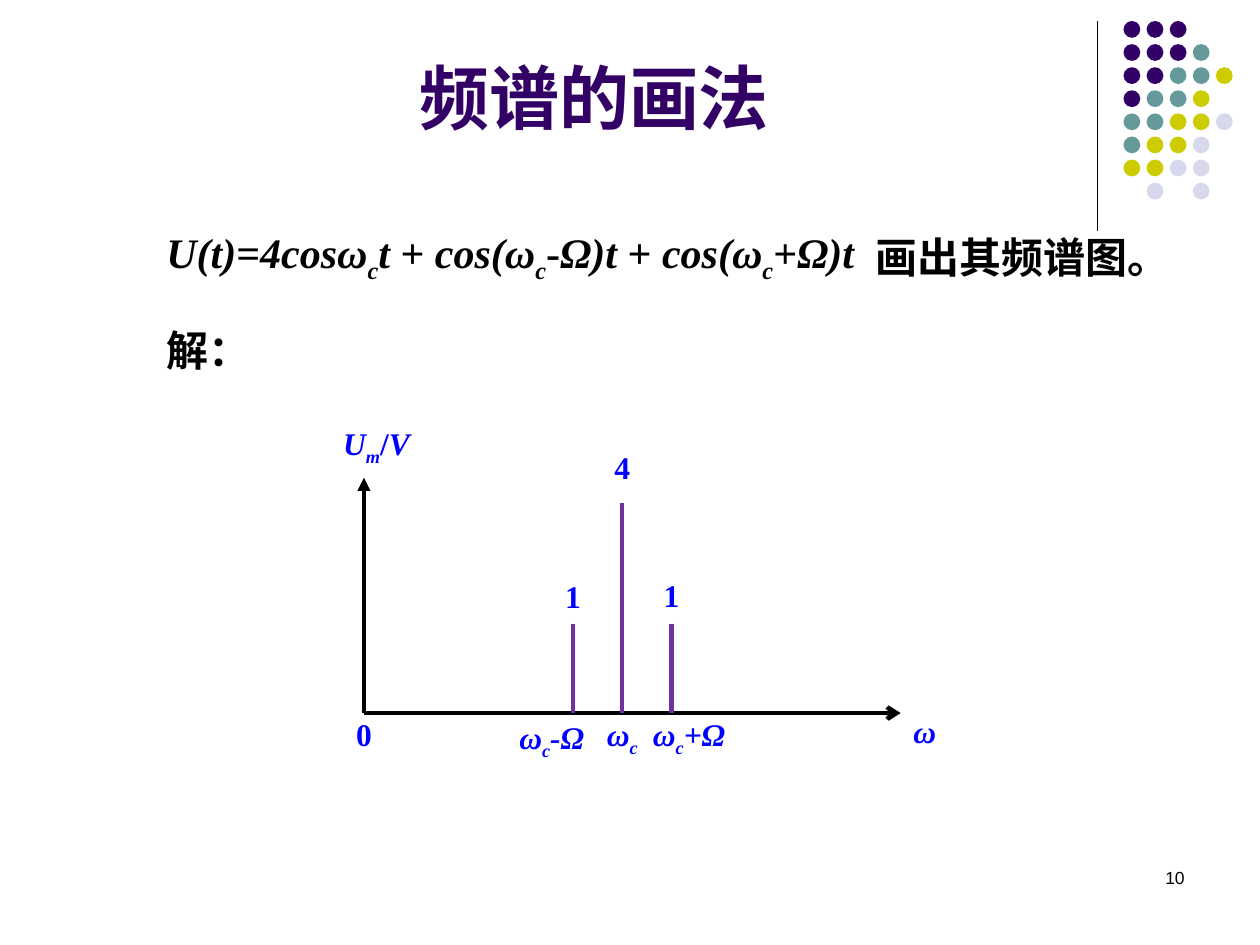
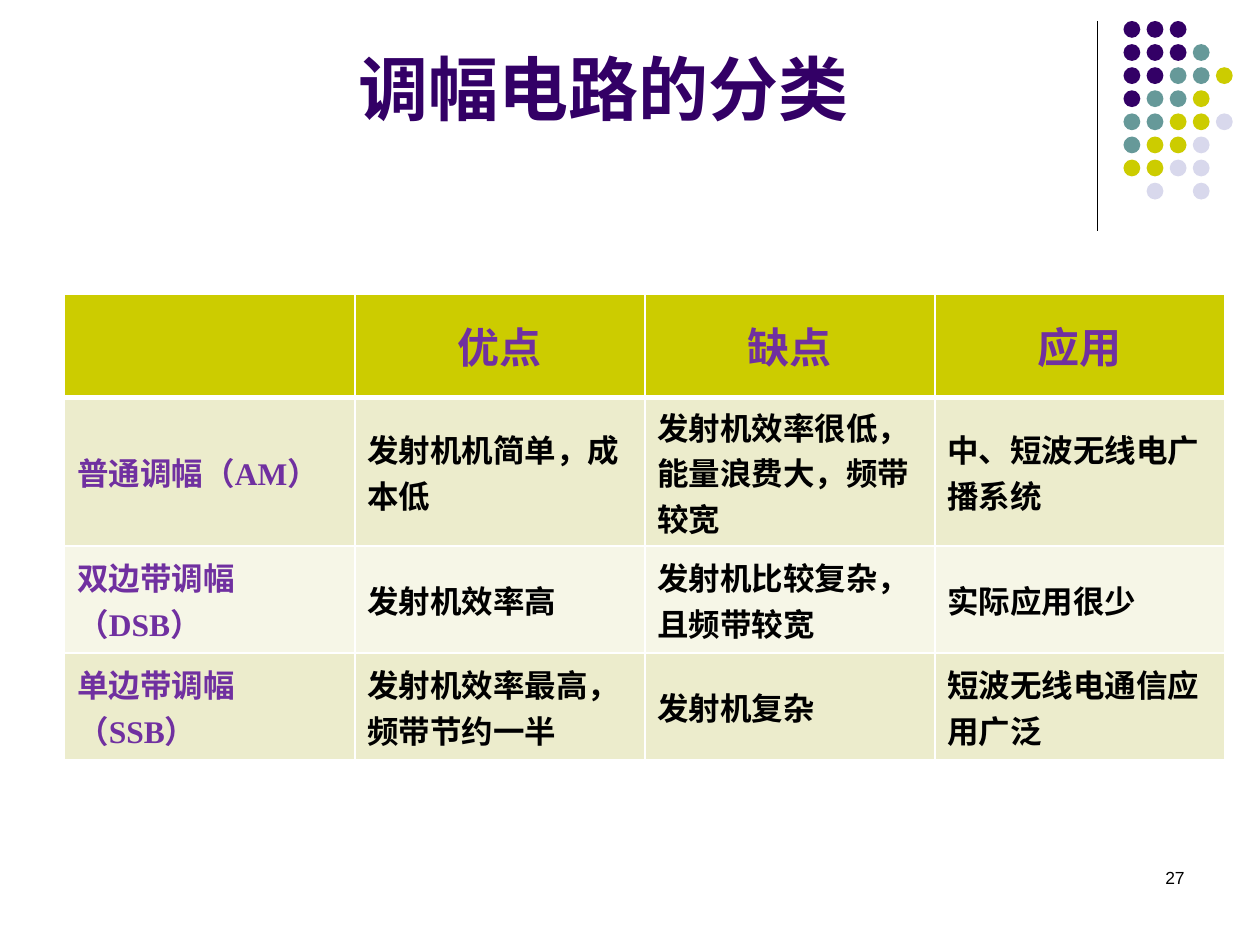
from collections import namedtuple

from lxml.etree import SubElement
from pptx import Presentation
from pptx.dml.color import RGBColor
from pptx.enum.shapes import MSO_CONNECTOR, MSO_SHAPE
from pptx.enum.text import MSO_ANCHOR, MSO_AUTO_SIZE, PP_ALIGN
from pptx.oxml.ns import qn
from pptx.util import Pt

Box = namedtuple("Box", "left top width height")

# Colours and fonts
BLACK = RGBColor(0x00, 0x00, 0x00)
WHITE = RGBColor(0xFF, 0xFF, 0xFF)
INDIGO = RGBColor(0x33, 0x00, 0x66)
TEAL = RGBColor(0x66, 0x99, 0x99)
LIME = RGBColor(0xCC, 0xCC, 0x00)
LAVENDER = RGBColor(0xD8, 0xD8, 0xEC)
PURPLE = RGBColor(0x70, 0x30, 0xA0)
BLUE = RGBColor(0x00, 0x00, 0xFF)
ROW_FILLS = [RGBColor(0xEC, 0xEC, 0xCC), RGBColor(0xF6, 0xF6, 0xE7)]
SERIF, SANS, CHINESE = "Times New Roman", "Arial", "Noto Sans CJK SC"

# Dot ornament, one letter per dot colour
DOT_ROWS = ["III", "IIIT", "IITTY", "ITTY", "TTYYL", "TYYL", "YYLL", " L L"]
DOT_COLORS = {"I": INDIGO, "T": TEAL, "Y": LIME, "L": LAVENDER}

# Styled spans: "i" is italic, "s" is subscript
OMEGA_C = [("ω", "i"), ("c", "is")]
FORMULA = [
    ("U(t)", "i"), ("=", ""), ("4cos", "i"), *OMEGA_C, ("t ", "i"),
    ("+ ", ""), ("cos(", "i"), *OMEGA_C, ("-", ""), ("Ω)t ", "i"),
    ("+ ", ""), ("cos(", "i"), *OMEGA_C, ("+", ""), ("Ω)t", "i"),
]

TABLE_HEADER = ["", "优点", "缺点", "应用"]
TABLE_ROWS = [
    ["普通调幅（AM）", "发射机机简单，成本低",
     "发射机效率很低，能量浪费大，频带较宽", "中、短波无线电广播系统"],
    ["双边带调幅（DSB）", "发射机效率高", "发射机比较复杂，且频带较宽", "实际应用很少"],
    ["单边带调幅（SSB）", "发射机效率最高，频带节约一半", "发射机复杂", "短波无线电通信应用广泛"],
]


def write_text(frame, text, size=18, color=BLACK, font=SERIF, bold=True,
               align=PP_ALIGN.LEFT):
    """Write a string or a list of (text, style) spans as one paragraph."""
    para = frame.paragraphs[0]
    para.alignment = align
    spans = [(text, "")] if isinstance(text, str) else text
    for words, style in spans:
        span = para.add_run()
        span.text = words
        span.font.size = Pt(size)
        span.font.bold = bold
        span.font.italic = "i" in style
        span.font.color.rgb = color
        span.font.name = font
        properties = span.font._element
        SubElement(properties, qn("a:ea"), typeface=CHINESE)
        if "s" in style:
            properties.set("baseline", "-25000")


def place(shape, box):
    shape.left, shape.top, shape.width, shape.height = (Pt(side) for side in box)


def add_text(shapes, box, text, **style):
    frame = shapes.add_textbox(*(Pt(side) for side in box)).text_frame
    frame.word_wrap = True
    write_text(frame, text, **style)


def add_line(shapes, start, end, color=BLACK, width=2.5, head=None):
    line = shapes.add_connector(MSO_CONNECTOR.STRAIGHT,
                                *(Pt(value) for value in (*start, *end)))
    line.line.color.rgb = color
    line.line.width = Pt(width)
    properties = line.element.spPr
    if head:
        SubElement(properties.find(qn("a:ln")), qn("a:tailEnd"), type=head)
    SubElement(properties, qn("a:effectLst"))


def add_ornament(page, box):
    """Vertical rule with the dot grid to its right."""
    add_line(page.shapes, (box.left, box.top),
             (box.left, box.top + box.height), width=0.75)
    dots = page.shapes.add_group_shape().shapes
    pitch, size = 13.2, 9.6
    for row, letters in enumerate(DOT_ROWS):
        for column, letter in enumerate(letters):
            if letter == " ":
                continue
            dot = dots.add_shape(
                MSO_SHAPE.OVAL, Pt(box.left + 15 + column * pitch),
                Pt(box.top + row * pitch), Pt(size), Pt(size))
            dot.shadow.inherit = False
            dot.fill.solid()
            dot.fill.fore_color.rgb = DOT_COLORS[letter]
            dot.line.fill.background()


def add_page(deck, title, title_box, number, title_font):
    """Page with the shared ornament, title style and page number."""
    page = deck.slides.add_slide(deck.slide_layouts[5])
    add_ornament(page, Box(627, 12, 78, 120))
    heading = page.shapes.title
    place(heading, title_box)
    frame = heading.text_frame
    frame.auto_size = MSO_AUTO_SIZE.NONE
    frame.vertical_anchor = MSO_ANCHOR.BOTTOM
    write_text(frame, title, size=40, color=INDIGO, font=title_font,
               align=PP_ALIGN.CENTER)
    add_text(page.shapes, Box(516, 492, 168, 36), number, size=10, font=SANS,
             bold=False, align=PP_ALIGN.RIGHT)
    return page


def add_problem(page, box):
    """Formula, task and the start of the solution."""
    for left, top, width, text in [
        (0, 0, 521, FORMULA),
        (405, 3, 164, "画出其频谱图。"),
        (0, 56, 164, "解："),
    ]:
        add_text(page.shapes, Box(box.left + left, box.top + top, width, 36),
                 text, size=24)


def add_spectrum(page, box):
    """Axes, spectral lines and labels; the origin is the lower left corner."""
    parts = page.shapes.add_group_shape().shapes
    origin_x, origin_y = box.left, box.top + box.height
    origin = (origin_x, origin_y)
    add_line(parts, origin, (origin_x + box.width, origin_y), head="arrow")
    add_line(parts, origin, (origin_x, box.top), head="triangle")

    # Spectral lines: carrier in the middle, one sideband on each side
    carrier, spacing = 147.6, 28.1
    lower, upper = carrier - spacing, carrier + spacing
    for offset, height in [(carrier, 120.2), (upper, 51.1), (lower, 51.1)]:
        x = origin_x + offset
        add_line(parts, (x, origin_y - height), (x, origin_y), color=PURPLE)

    # Labels: centre and top measured from the origin
    label_width = 76.3
    for centre, top, text in [
        (7.2, -168.5, [("U", "i"), ("m", "is"), ("/", ""), ("V", "i")]),
        (0, -2.2, "0"),
        (107.3, -0.7, OMEGA_C + [("-Ω", "i")]),
        (185.8, -2.2, OMEGA_C + [("+Ω", "i")]),
        (carrier, -2.2, OMEGA_C),
        (320.4, -4.3, [("ω", "i")]),
        (carrier, -154.8, "4"),
        (upper, -82.1, "1"),
        (lower, -81.4, "1"),
    ]:
        add_text(parts, Box(origin_x + centre - label_width / 2,
                            origin_y + top, label_width, 29),
                 text, color=BLUE, align=PP_ALIGN.CENTER)


def style_cell(cell, fill, top=1, bottom=1):
    """White borders of the given widths, then the fill."""
    properties = cell._tc.get_or_add_tcPr()
    for side, width in [("L", 1), ("R", 1), ("T", top), ("B", bottom)]:
        border = SubElement(properties, qn(f"a:ln{side}"), w=str(Pt(width)))
        color = SubElement(border, qn("a:solidFill"))
        SubElement(color, qn("a:srgbClr"), val=str(WHITE))
    cell.fill.solid()
    cell.fill.fore_color.rgb = fill
    cell.vertical_anchor = MSO_ANCHOR.MIDDLE


def add_comparison(page, box):
    """Table of the modulation types."""
    rows = [TABLE_HEADER, *TABLE_ROWS]
    table = page.shapes.add_table(len(rows), len(TABLE_HEADER),
                                  *(Pt(side) for side in box)).table
    for column in table.columns:
        column.width = Pt(box.width / len(TABLE_HEADER))
    for row, height in zip(table.rows, [59, 85, 61.2, 61.2]):
        row.height = Pt(height)
    for row, texts in enumerate(rows):
        for column, text in enumerate(texts):
            cell = table.cell(row, column)
            if row == 0:
                style_cell(cell, LIME, bottom=3)
                if text:
                    write_text(cell.text_frame, text, size=24, color=PURPLE,
                               font=CHINESE, align=PP_ALIGN.CENTER)
            else:
                style_cell(cell, ROW_FILLS[(row - 1) % 2],
                           top=3 if row == 1 else 1)
                write_text(cell.text_frame, text,
                           color=BLACK if column else PURPLE)


def main():
    deck = Presentation()
    deck.slide_width, deck.slide_height = Pt(720), Pt(540)

    page = add_page(deck, "频谱的画法", Box(42.5, -19.5, 594, 102), "10", CHINESE)
    add_problem(page, Box(88, 126, 569, 92))
    add_spectrum(page, Box(208, 273, 306.7, 134.5))

    page = add_page(deck, "调幅电路的分类", Box(48, -24.5, 594, 102), "27", SERIF)
    add_comparison(page, Box(37, 168, 663, 266.4))

    deck.save("out.pptx")


if __name__ == "__main__":
    main()
